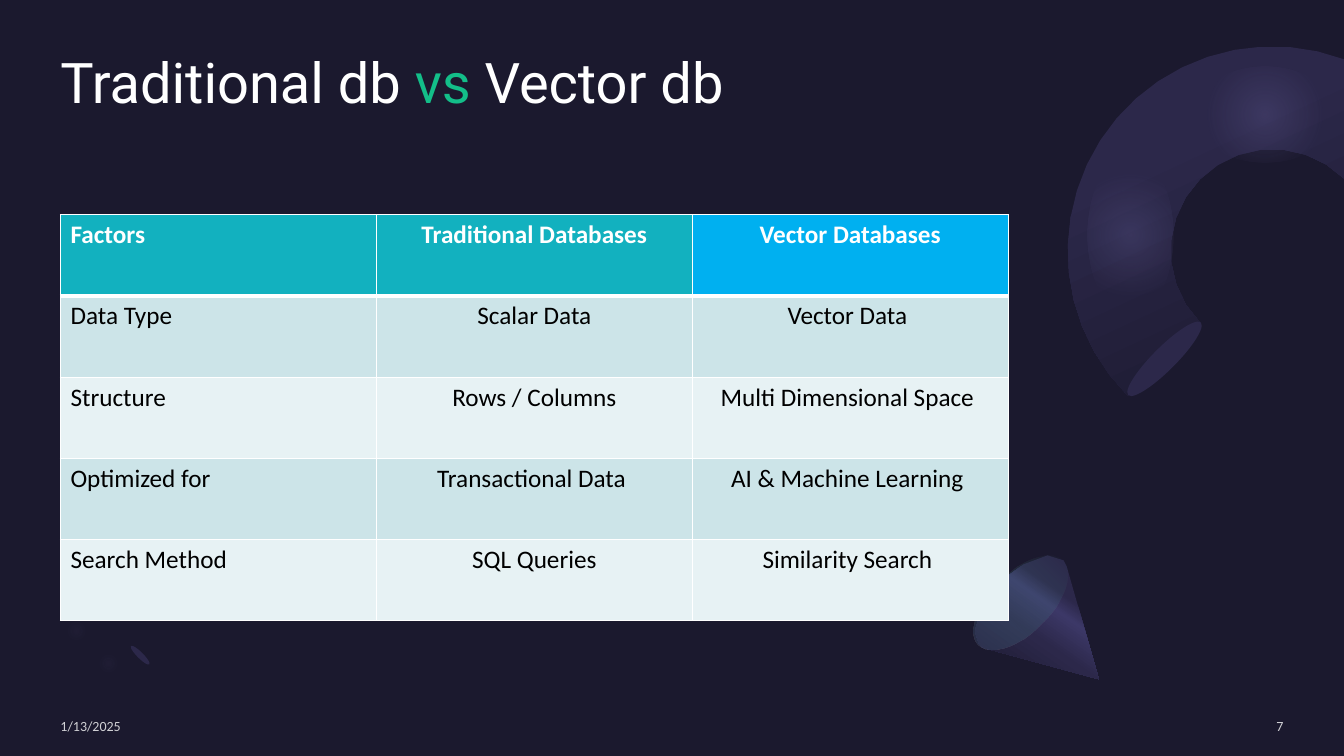
import math

from lxml import etree
from pptx import Presentation
from pptx import util as u
from pptx.dml.color import RGBColor
from pptx.enum import shapes, text
from pptx.oxml.ns import qn

COLORS = {
    "night": "1B192E", "violet": "2C284A", "cone": "3C3867", "rim": "454075",
    "mint": "5BEFC1", "glow": "7771B2", "green": "13BE89", "white": "FFFFFF",
    "black": "000000", "footer": "D1D1D5", "teal": "12B1BF", "blue": "00B0F0",
    "band": "CCE4E8", "pale": "E7F2F4",
}
ROWS = [
    ["Factors", "Traditional Databases", "Vector Databases"],
    ["Data Type", "Scalar Data", "Vector Data "],
    ["Structure", "Rows / Columns", "Multi Dimensional Space "],
    ["Optimized for", "Transactional Data ", "AI & Machine Learning "],
    ["Search Method", "SQL Queries", "Similarity Search "],
]


def rgb(name):
    return RGBColor.from_string(COLORS[name])


def add_child(parent, tag, **attributes):
    child = etree.SubElement(parent, qn(tag))
    for key, value in attributes.items():
        child.set(key, str(value))
    return child


def set_gradient(shape, stops, angle=None):
    """Fill with (percent, colour, opacity) stops; without an angle it is radial."""
    shape.fill.background()
    properties = shape.fill._xPr
    gradient = etree.Element(qn("a:gradFill"), rotWithShape="1")
    stop_list = add_child(gradient, "a:gsLst")
    for percent, color, opacity in stops:
        stop = add_child(stop_list, "a:gs", pos=percent * 1000)
        tone = add_child(stop, "a:srgbClr", val=COLORS[color])
        add_child(tone, "a:alpha", val=opacity * 1000)
    if angle is None:
        radial = add_child(gradient, "a:path", path="circle")
        add_child(radial, "a:fillToRect", l=50000, t=50000, r=50000, b=50000)
    else:
        add_child(gradient, "a:lin", ang=angle * 60000, scaled=0)
    properties.replace(properties.find(qn("a:noFill")), gradient)


def clear_outline(shape):
    shape.shadow.inherit = False
    shape.line.fill.background()
    return shape


def set_fill(shape, color):
    shape.fill.solid()
    shape.fill.fore_color.rgb = rgb(color)


def add_ellipse(slide, center, size, rotation=0):
    (x, y), (width, height) = center, size
    ellipse = clear_outline(slide.shapes.add_shape(
        shapes.MSO_SHAPE.OVAL, u.Inches(x - width / 2), u.Inches(y - height / 2),
        u.Inches(width), u.Inches(height)))
    ellipse.rotation = rotation
    set_fill(ellipse, "violet")
    return ellipse


def add_glow(slide, center, size, opacity):
    glow = add_ellipse(slide, center, size)
    set_gradient(glow, [(0, "glow", opacity), (68, "glow", 0), (100, "glow", 0)])


def add_outline(slide, points):
    corners = [(u.Inches(x), u.Inches(y)) for x, y in points]
    builder = slide.shapes.build_freeform(*corners[0])
    builder.add_line_segments(corners[1:], close=True)
    return clear_outline(builder.convert_to_shape())


def arc(center, radius, start, end, steps):
    angles = [math.radians(start + (end - start) * i / steps) for i in range(steps + 1)]
    return [(center[0] + radius * math.cos(a), center[1] + radius * math.sin(a))
            for a in angles]


def add_ring(slide, x, y):
    """Open ring around (x, y), cut off by the right slide edge."""
    outer, inner, edge = 2.03, 1.01, 0.71
    outer_end = 360 - math.degrees(math.acos(edge / outer))
    inner_end = 360 - math.degrees(math.acos(edge / inner))
    ring = add_outline(slide, arc((x, y), outer, 135, outer_end, 20)
                       + arc((x, y), inner, inner_end, 135, 14))
    set_gradient(ring, [(31, "violet", 100), (97, "night", 100)], 65)
    add_glow(slide, (x - 0.07, y - 1.35), (1.4, 0.95), 22)
    add_glow(slide, (x - 1.41, y - 0.16), (0.85, 1.6), 22)
    add_ellipse(slide, (x - 1.07, y + 1.07), (0.23, 1.02), 45)


def add_cone(slide, x, y):
    """Cone whose base is centred on (x, y)."""
    outline = [(0.78, 0.76), (-0.36, 0.45), (-0.41, 0.41), (-0.45, 0.28), (-0.37, 0.02),
               (-0.2, -0.21), (0.03, -0.38), (0.27, -0.47), (0.43, -0.42), (0.46, -0.36)]
    cone = add_outline(slide, [(x + dx, y + dy) for dx, dy in outline])
    set_gradient(cone, [(30, "violet", 100), (40, "cone", 100),
                        (60, "violet", 100), (100, "night", 100)], 125)
    base = add_ellipse(slide, (x, y), (0.59, 1.18), 225)
    set_gradient(base, [(0, "rim", 33), (100, "mint", 0)], 90)


def add_small_ring(slide, x, y):
    """Dark half ring around (x, y) with a faint glow and two end caps."""
    ring = add_outline(slide, arc((x, y), 0.51, 45, 225, 12)
                       + arc((x, y), 0.25, 225, 45, 8))
    set_fill(ring, "night")
    add_glow(slide, (x - 0.36, y + 0.03), (0.18, 0.22), 5)
    add_glow(slide, (x - 0.04, y + 0.35), (0.22, 0.18), 5)
    for shift in (0.27, -0.27):
        add_ellipse(slide, (x + shift, y + shift), (0.06, 0.26), 135)


def clear_margins(frame):
    frame.margin_left = frame.margin_top = frame.margin_right = frame.margin_bottom = 0
    frame.word_wrap = True


def set_title(slide, left, top, width, height):
    title = slide.shapes.title
    title.left, title.top = u.Inches(left), u.Inches(top)
    title.width, title.height = u.Inches(width), u.Inches(height)
    frame = title.text_frame
    clear_margins(frame)
    frame.auto_size = text.MSO_AUTO_SIZE.NONE
    frame.vertical_anchor = text.MSO_ANCHOR.TOP
    para = frame.paragraphs[0]
    para.alignment = text.PP_ALIGN.LEFT
    para.line_spacing = 0.9
    para.font.size, para.font.name = u.Pt(40), "Roboto"
    for words, color in [("Traditional db ", "white"), ("vs", "green"),
                         (" Vector db", "white")]:
        span = para.add_run()
        span.text = words
        span.font.color.rgb = rgb(color)


def set_borders(cell, bottom_width):
    properties = cell._tc.get_or_add_tcPr()
    for position, side in enumerate(["a:lnL", "a:lnR", "a:lnT", "a:lnB"]):
        width = bottom_width if side == "a:lnB" else 1
        line = etree.Element(qn(side), w=str(u.Pt(width)))
        fill = add_child(line, "a:solidFill")
        add_child(fill, "a:srgbClr", val=COLORS["white"])
        properties.insert(position, line)


def cell_color(row, column):
    if row == 0:
        return "blue" if column == 2 else "teal"
    return "band" if row % 2 else "pale"


def add_comparison(slide, left, top, width, height):
    table = slide.shapes.add_table(
        len(ROWS), len(ROWS[0]), u.Inches(left), u.Inches(top),
        u.Inches(width), u.Inches(height)).table
    for r, row in enumerate(ROWS):
        for c, words in enumerate(row):
            cell = table.cell(r, c)
            cell.text = words
            set_fill(cell, cell_color(r, c))
            set_borders(cell, 3 if r == 0 else 1)
            para = cell.text_frame.paragraphs[0]
            para.alignment = text.PP_ALIGN.CENTER if c else text.PP_ALIGN.LEFT
            para.font.size, para.font.name = u.Pt(18), "Calibri"
            para.font.bold = r == 0
            para.font.color.rgb = rgb("black" if r else "white")


def add_footer(slide, words, left, top, width, height, alignment):
    box = slide.shapes.add_textbox(u.Inches(left), u.Inches(top),
                                   u.Inches(width), u.Inches(height))
    clear_margins(box.text_frame)
    box.text_frame.vertical_anchor = text.MSO_ANCHOR.MIDDLE
    para = box.text_frame.paragraphs[0]
    para.text, para.alignment = words, alignment
    para.font.size, para.font.name = u.Pt(10), "Calibri"
    para.font.color.rgb = rgb("footer")


def main():
    deck = Presentation()
    deck.slide_width, deck.slide_height = u.Inches(13.33), u.Inches(7.5)
    page = deck.slides.add_slide(deck.slide_layouts[5])
    set_fill(page.background, "night")
    add_ring(page, 12.62, 2.49)
    add_cone(page, 10.12, 5.98)
    add_small_ring(page, 1.12, 6.23)
    set_title(page, 0.6, 0.55, 8.71, 1.59)
    add_comparison(page, 0.6, 2.13, 9.4, 4.03)
    add_footer(page, "1/13/2025", 0.6, 7.12, 2.88, 0.17, text.PP_ALIGN.LEFT)
    add_footer(page, "7", 10.88, 7.12, 1.85, 0.17, text.PP_ALIGN.RIGHT)
    deck.save("out.pptx")


if __name__ == "__main__":
    main()
